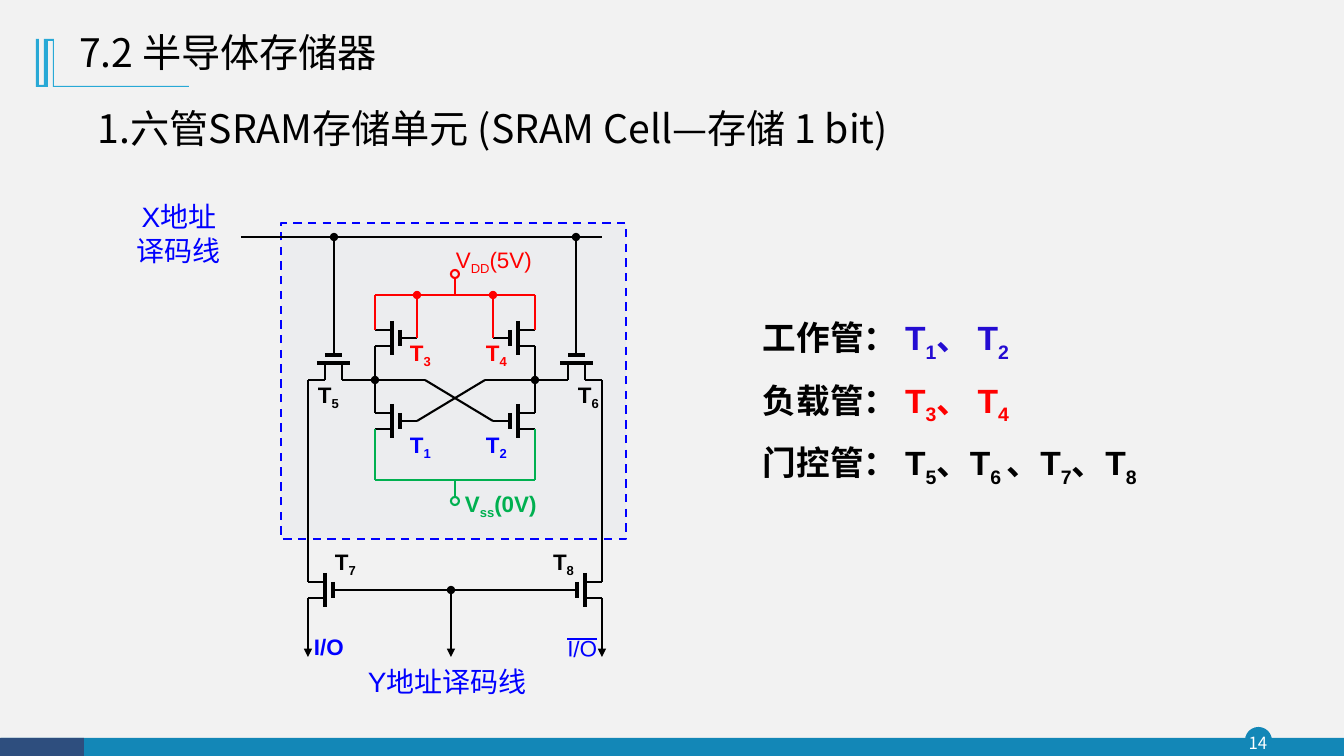
import pptx
import pptx.util
import pptx.dml.color
import pptx.enum.dml
import pptx.enum.shapes
import pptx.enum.text
import pptx.oxml.ns
import lxml.etree

PX = 914400 / 100.8
BLACK, WHITE, RED, GREEN, BLUE = "000000", "FFFFFF", "FF0000", "00B050", "0000FF"
VIOLET, TEAL = "240CD2", "1387B7"
SANS, HEADING_SANS = "Noto Sans CJK SC", "Noto Sans CJK JP"
ALIGN = pptx.enum.text.PP_ALIGN
SHAPES = pptx.enum.shapes.MSO_SHAPE
qn = pptx.oxml.ns.qn
rgb = pptx.dml.color.RGBColor.from_string

deck = pptx.Presentation()
deck.slide_width = round(1344 * PX)
deck.slide_height = round(756 * PX)
slide = deck.slides.add_slide(deck.slide_layouts[6])
slide.background.fill.solid()
slide.background.fill.fore_color.rgb = rgb("F2F2F2")


def wire(x1, y1, x2, y2, color=BLACK, width=1.5, head=None, tail=None):
    ends = [round(v * PX) for v in (x1, y1, x2, y2)]
    link = slide.shapes.add_connector(pptx.enum.shapes.MSO_CONNECTOR.STRAIGHT, *ends)
    link.line.color.rgb = rgb(color)
    link.line.width = pptx.util.Pt(width)
    stroke = link.line._get_or_add_ln()
    for tag, kind in (("a:headEnd", head), ("a:tailEnd", tail)):
        if kind:
            lxml.etree.SubElement(stroke, qn(tag), type=kind)
    lxml.etree.SubElement(link._element.spPr, qn("a:effectLst"))


def write(box, paragraphs, size, font="Arial", bold=False, align=ALIGN.JUSTIFY, inset=(1, 1)):
    area = slide.shapes.add_textbox(*[round(v * PX) for v in box])
    frame = area.text_frame
    frame.word_wrap = True
    frame.margin_left = frame.margin_right = round(inset[0] * PX)
    frame.margin_top = frame.margin_bottom = round(inset[1] * PX)
    for i, pieces in enumerate(paragraphs):
        paragraph = frame.paragraphs[0] if i == 0 else frame.add_paragraph()
        paragraph.alignment = align
        if i:
            paragraph.space_before = pptx.util.Pt(12)
        for words, color, lowered in pieces:
            run = paragraph.add_run()
            run.text = words
            run.font.size = pptx.util.Pt(size)
            run.font.bold = bold
            run.font.name = font
            run.font.color.rgb = rgb(color)
            east_asian = SANS if font == "Arial" else font
            lxml.etree.SubElement(run.font._element, qn("a:ea"), typeface=east_asian)
            if lowered:
                run.font._element.set("baseline", "-25000")
    return area


for kind, box, fill in (
    (SHAPES.OVAL, (1245, 727, 27, 27), TEAL),
    (SHAPES.RECTANGLE, (1, 738, 1343, 19), TEAL),
    (SHAPES.RECTANGLE, (0, 738, 84, 19), "2E4E7E"),
):
    footer = slide.shapes.add_shape(kind, *[round(v * PX) for v in box])
    footer.shadow.inherit = False
    footer.fill.solid()
    footer.fill.fore_color.rgb = rgb(fill)
    footer.line.fill.background()
page = write((1242, 727, 32, 31), [[("14", WHITE, False)]], 12, SANS, align=ALIGN.CENTER, inset=(0, 0))
page.text_frame.vertical_anchor = pptx.enum.text.MSO_ANCHOR.MIDDLE

corner = [(54, 39), (54, 86), (189, 86), (189, 87), (54, 87), (53, 87), (53, 41), (48, 41),
          (48, 87), (36, 87), (36, 39), (39, 39), (39, 85), (44, 85), (44, 39)]
outline = slide.shapes.build_freeform(*corner[0], scale=PX)
outline.add_line_segments(corner[1:], close=True)
bracket = outline.convert_to_shape()
bracket.shadow.inherit = False
bracket.fill.solid()
bracket.fill.fore_color.rgb = rgb("28A9D6")
bracket.line.fill.background()

title = write((69, 20, 618, 69), [[("7.2 半导体存储器", BLACK, False)]], 28, SANS, align=ALIGN.LEFT, inset=(10, 5))
title.text_frame.vertical_anchor = pptx.enum.text.MSO_ANCHOR.MIDDLE
title.text_frame.paragraphs[0].line_spacing = 0.9

cell = slide.shapes.add_shape(SHAPES.RECTANGLE, *[round(v * PX) for v in (281, 223, 345, 316)])
cell.shadow.inherit = False
cell.fill.solid()
cell.fill.fore_color.rgb = rgb("D6DCE5")
tint = cell.fill._xPr.find(qn("a:solidFill"))[0]
lxml.etree.SubElement(tint, qn("a:alpha"), val="20000")
cell.line.color.rgb = rgb(BLUE)
cell.line.width = pptx.util.Pt(1.5)
cell.line.dash_style = pptx.enum.dml.MSO_LINE.DASH

wire(241, 237, 602, 237)
wire(375, 295, 535, 295, RED)
wire(375, 480, 535, 480, GREEN)
wire(350, 590, 560, 590)
wire(451, 590, 451, 657, head="oval", tail="triangle")

for mirrored in (False, True):
    def side(x):
        return 910 - x if mirrored else x

    for drain, middle in ((375, 338), (375, 421), (308, 590)):
        channel, gate = side(drain + 17), side(drain + 25)
        wire(channel, middle - 17, channel, middle + 17, width=2.25)
        wire(gate, middle - 8, gate, middle + 8, width=2.25)
        wire(gate, middle, side(drain + 42), middle)
        for y in (middle - 8, middle + 8):
            wire(side(drain), y, channel, y)

    wire(side(317), 363, side(350), 363, width=2.25)
    wire(side(325), 355, side(342), 355, width=2.25)
    for x in (325, 342):
        wire(side(x), 363, side(x), 380)
    wire(side(334), 237, side(334), 355, head="oval")

    wire(side(417), 295, side(417), 338, RED, head="oval")
    wire(side(375), 295, side(375), 330, RED)
    wire(side(375), 346, side(375), 413)
    wire(side(375), 429, side(375), 480, GREEN)
    wire(side(375), 380, side(342), 380, head="oval")
    wire(side(375), 380, side(425), 380)
    wire(side(425), 380, side(493), 421)
    wire(side(325), 380, side(308), 380)
    wire(side(308), 380, side(308), 582)
    wire(side(308), 598, side(308), 657, tail="triangle")

for color, rail, lead, top in ((RED, 295, 279, 270), (GREEN, 480, 497, 497)):
    wire(455, rail, 455, lead, color)
    terminal = slide.shapes.add_shape(SHAPES.OVAL, *[round(v * PX) for v in (451, top, 8, 8)])
    terminal.shadow.inherit = False
    terminal.fill.background()
    terminal.line.color.rgb = rgb(color)
    terminal.line.width = pptx.util.Pt(1.5)

for number, x, y, color in (
    ("1", 409, 430, BLUE), ("2", 485, 430, BLUE), ("3", 409, 338, RED), ("4", 485, 338, RED),
    ("5", 317, 380, BLACK), ("6", 577, 380, BLACK), ("7", 334, 547, BLACK), ("8", 552, 547, BLACK),
):
    write((x, y, 26, 33), [[("T", color, False), (number, color, True)]], 16, bold=True)

write((455, 245, 80, 50), [[("V", RED, False), ("DD", RED, True), ("(5V)", RED, False)]], 16)
write((464, 489, 80, 50), [[("V", GREEN, False), ("ss", GREEN, True), ("(0V)", GREEN, False)]], 16, bold=True)
write((313, 632, 38, 25), [[("I/O", BLUE, False)]], 16, bold=True)
inverse_io = write((560, 640, 38, 25), [[("O/I", BLUE, False)]], 16)
inverse_io.rotation = 180
inverse_io.text_frame.paragraphs[0].runs[0].font.underline = True
write((367, 664, 190, 25), [[("Y地址译码线", BLUE, False)]], 20)
write((129, 199, 100, 76), [[("X地址译码线", BLUE, False)]], 20, align=ALIGN.CENTER)

roles = [
    [("工作管： ", BLACK, False), ("T", VIOLET, False), ("1", VIOLET, True),
     ("、 T", VIOLET, False), ("2", VIOLET, True)],
    [("负载管： ", BLACK, False), ("T", RED, False), ("3", RED, True),
     ("、 T", RED, False), ("4", RED, True)],
    [("门控管： T", BLACK, False), ("5", BLACK, True), ("、T", BLACK, False), ("6 ", BLACK, True),
     ("、T", BLACK, False), ("7", BLACK, True), ("、T", BLACK, False), ("8", BLACK, True)],
]
write((753, 312, 440, 173), roles, 24, bold=True, align=ALIGN.LEFT, inset=(10, 5))
write((88, 99, 826, 57), [[("1.六管SRAM存储单元 (SRAM Cell—存储 1 bit)", BLACK, False)]], 28,
      HEADING_SANS, align=ALIGN.LEFT, inset=(10, 5))

deck.save("out.pptx")
